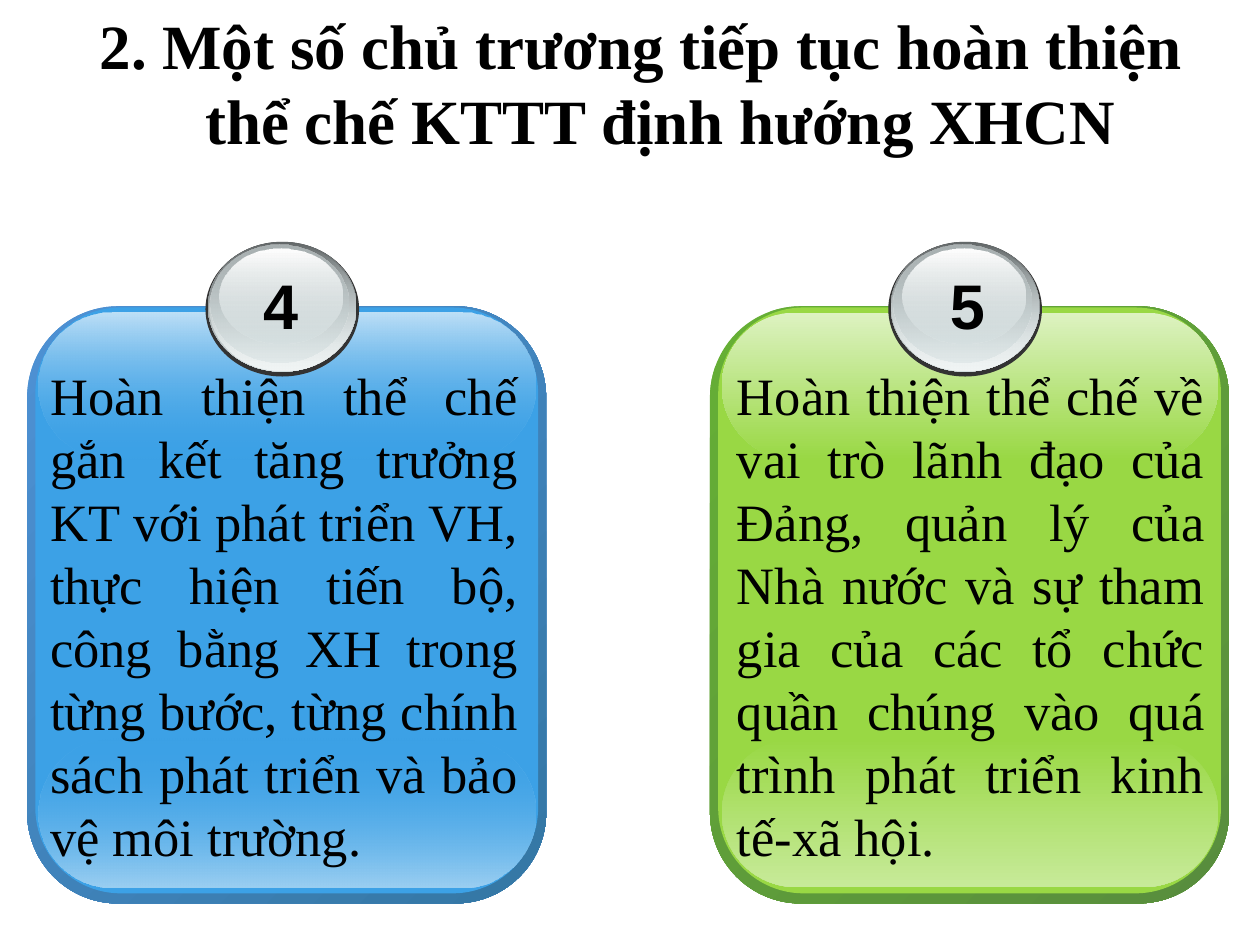
from dataclasses import dataclass

from lxml import etree
from pptx import Presentation
from pptx.dml.color import RGBColor
from pptx.enum import shapes, text
from pptx.oxml.ns import qn
from pptx.util import Pt


@dataclass
class Theme:
    ink: str = "000000"
    rim: str = "333333"
    steel: str = "636869"
    shade: str = "AAB2B3"
    silver: str = "D6E1E2"
    pearl: str = "F1F5F5"
    white: str = "FFFFFF"
    blue: tuple = ("4E91D4", "3477A4", "3CA1E6", "9BCFF2", "BEE0F7")
    green: tuple = ("66AF35", "588D3D", "99D844", "C7EA99", "DDF2C1")
    serif: str = "Times New Roman"
    sans: str = "Arial"
    heading: int = 36
    body: int = 30


theme = Theme()
ROUND = shapes.MSO_SHAPE.ROUNDED_RECTANGLE
OVAL = shapes.MSO_SHAPE.OVAL


def add_layer(parent, preset, box, stops, angle=90, corner=None):
    layer = parent.add_shape(preset, *map(Pt, box))
    layer.shadow.inherit = False
    layer.line.fill.background()
    if corner is not None:
        layer.adjustments[0] = corner
    if len(stops) == 1:
        layer.fill.solid()
        layer.fill.fore_color.rgb = RGBColor.from_string(stops[0][0])
        return
    layer.fill.gradient()
    layer.fill.gradient_angle = 360 - angle
    for position, (stop, (color, _)) in enumerate(zip(layer.fill.gradient_stops, stops)):
        stop.position = position
        stop.color.rgb = RGBColor.from_string(color)
    for color, (_, opacity) in zip(layer._element.spPr.iter(qn("a:srgbClr")), stops):
        if opacity < 100:
            etree.SubElement(color, qn("a:alpha"), val=str(opacity * 1000))


def add_text(parent, box, words, font, size, align, bold=False, wrap=True):
    label = parent.add_textbox(*map(Pt, box))
    frame = label.text_frame
    frame.text = words
    frame.word_wrap = wrap
    frame.auto_size = text.MSO_AUTO_SIZE.SHAPE_TO_FIT_TEXT
    paragraph = frame.paragraphs[0]
    paragraph.alignment = align
    run = paragraph.runs[0]
    run.font.name = font
    run.font.size = Pt(size)
    run.font.bold = bold
    run.font.color.rgb = RGBColor.from_string(theme.ink)
    return paragraph


deck = Presentation()
deck.slide_width, deck.slide_height = Pt(720), Pt(540)
slide = deck.slides.add_slide(deck.slide_layouts[6])

badge_layers = [
    ((117.4, 138.2, 87.8, 77), [(theme.rim, 100)]),
    ((118.8, 138.2, 85, 74.2), [(theme.steel, 100), (theme.silver, 100)]),
    ((119.5, 139, 83.5, 72.7), [(theme.silver, 0), (theme.pearl, 100)]),
    ((120.2, 139.7, 79.2, 67.7), [(theme.shade, 100), (theme.silver, 48)]),
    ((125.3, 141.8, 70.6, 54.7), [(theme.white, 100), (theme.silver, 38)]),
]

panels = [
    ("4", theme.blue, 0,
     "Hoàn thiện thể chế gắn kết tăng trưởng KT với phát triển VH, thực hiện "
     "tiến bộ, công bằng XH trong từng bước, từng chính sách phát triển và bảo "
     "vệ môi trường."),
    ("5", theme.green, 100,
     "Hoàn thiện thể chế về vai trò lãnh đạo của Đảng, quản lý của Nhà nước và "
     "sự tham gia của các tổ chức quần chúng vào quá trình phát triển kinh "
     "tế-xã hội."),
]
panel_step, text_step = 390.2, 392.4

for index, (number, palette, fade, policy) in enumerate(panels):
    edge_start, edge_end, face, glow, gloss = palette
    shift = index * panel_step
    text_shift = index * text_step
    panel = slide.shapes.add_group_shape().shapes

    panel_layers = [
        ((15.5, 175, 296.6, 341.3), [(edge_start, 100), (edge_end, 100)], 45, 0.175),
        ((20.2, 175.7, 287.3, 334.8), [(face, 100)], 90, 0.17),
        ((22.3, 421.9, 283.7, 85), [(face, fade), (glow, 100)], 90, 0.5),
        ((22.3, 178.6, 283.7, 84.2), [(gloss, 100), (face, fade)], 90, 0.5),
    ]
    for (left, *rest), stops, angle, corner in panel_layers:
        add_layer(panel, ROUND, (left + shift, *rest), stops, angle, corner)
    for (left, *rest), stops in badge_layers:
        add_layer(panel, OVAL, (left + shift, *rest), stops)

    add_text(panel, (143.3 + text_shift, 149, 34.6, 50.4), number,
             theme.sans, theme.heading, text.PP_ALIGN.LEFT, bold=True, wrap=False)
    add_text(panel, (21.6 + text_shift, 203.8, 281.5, 295.2), policy,
             theme.serif, theme.body, text.PP_ALIGN.JUSTIFY)

title = add_text(slide.shapes, (36, 0, 653.8, 93.6),
                 "2. Một số chủ trương tiếp tục hoàn thiện thể chế KTTT định hướng XHCN",
                 theme.serif, theme.heading, text.PP_ALIGN.CENTER, bold=True)
title_indent = title._p.get_or_add_pPr()
title_indent.set("marL", str(Pt(28.8)))
title_indent.set("indent", str(Pt(-22.3)))

deck.save("out.pptx")
